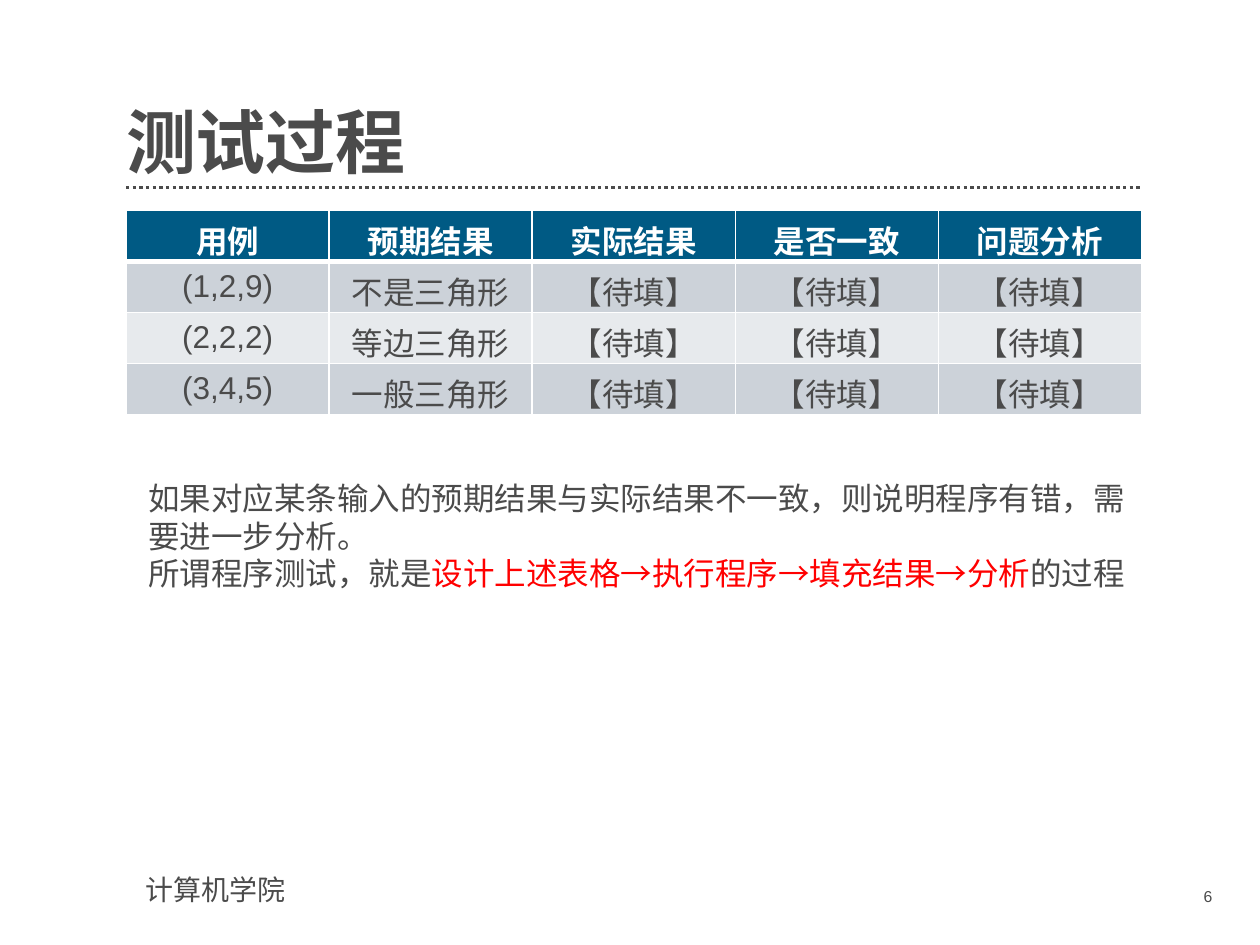
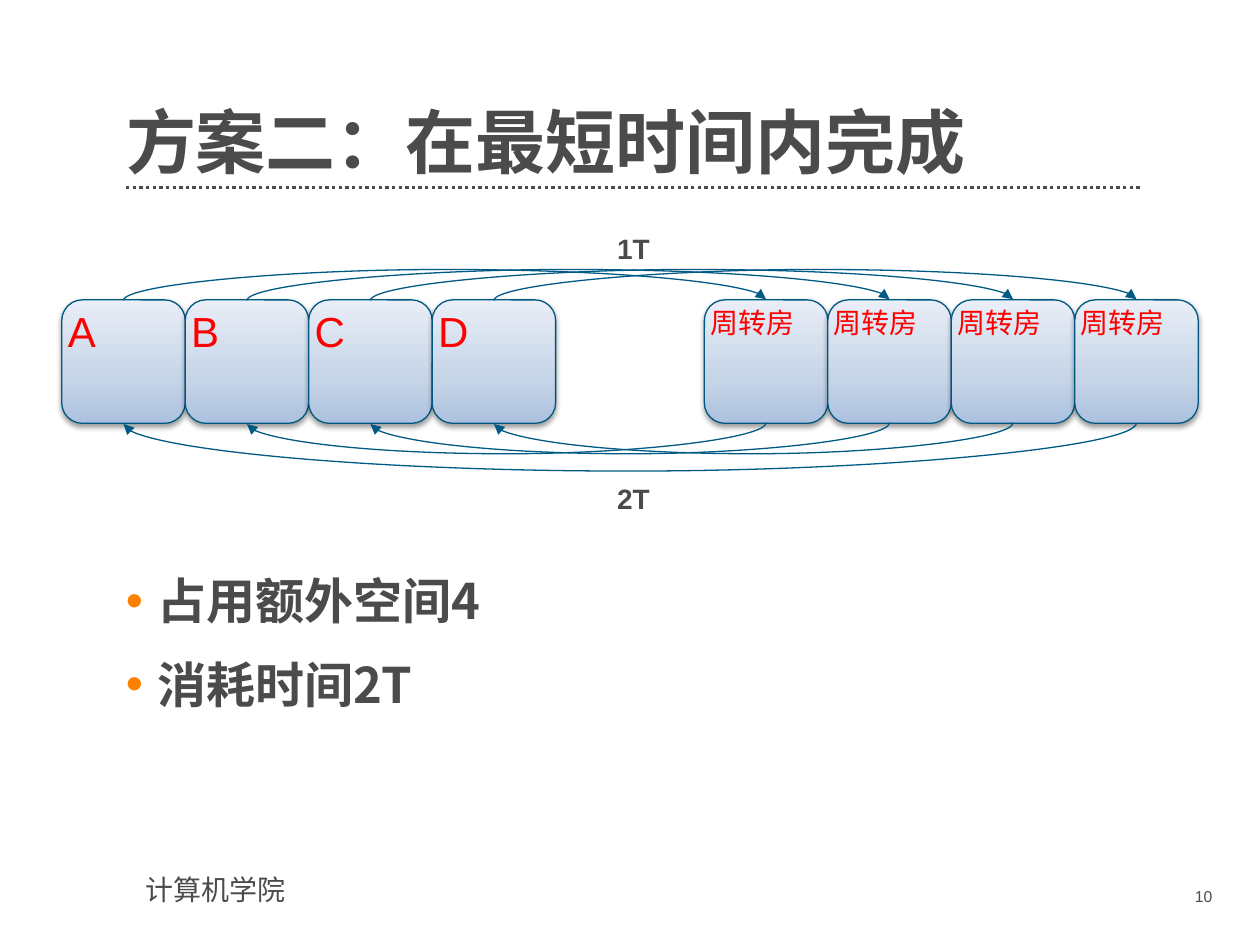
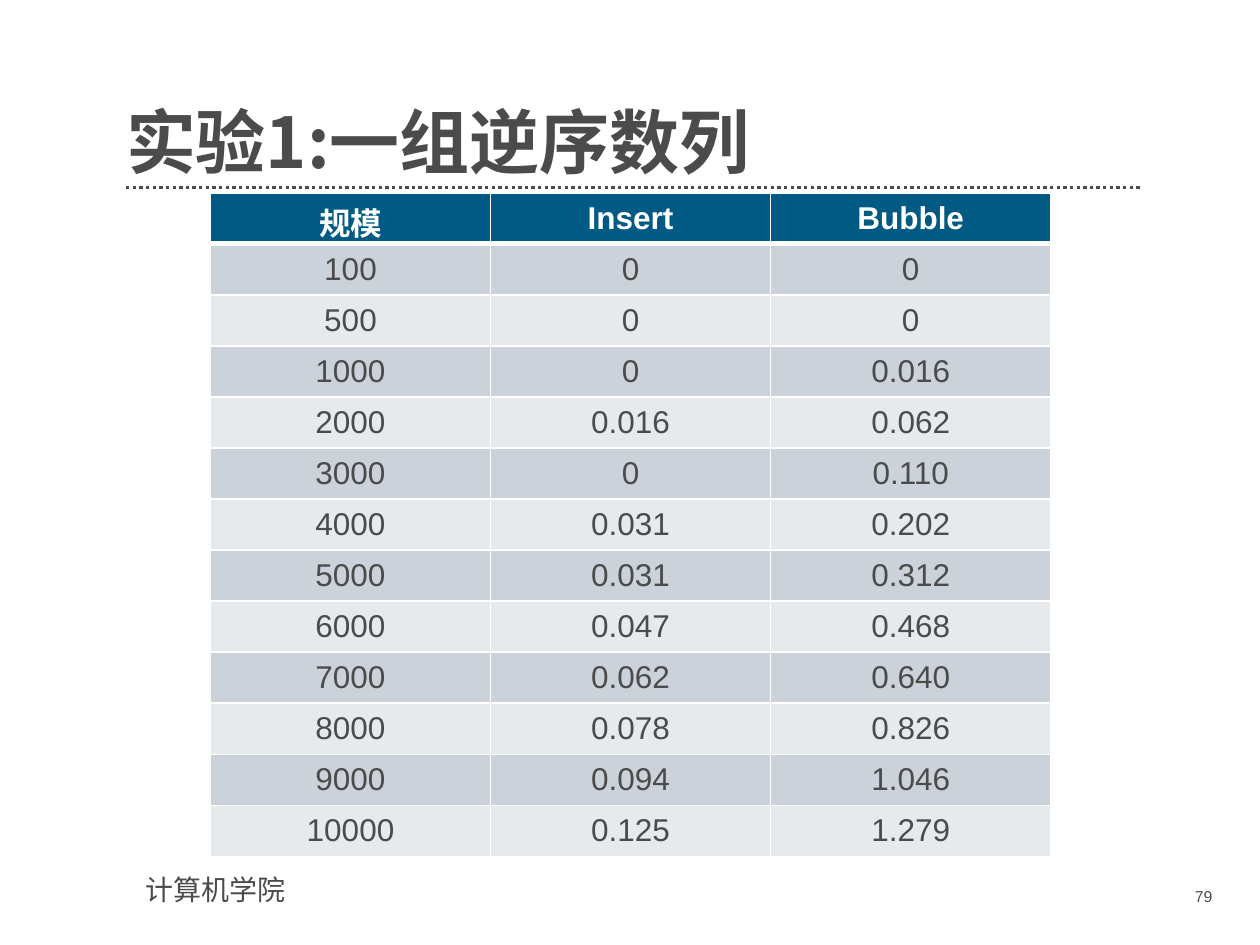
from dataclasses import dataclass
from typing import Any, NamedTuple

from lxml.etree import SubElement
from pptx import Presentation
from pptx.dml.color import RGBColor
from pptx.enum.dml import MSO_LINE
from pptx.enum.shapes import MSO_CONNECTOR as Link, MSO_SHAPE as Preset
from pptx.enum.text import MSO_ANCHOR as Anchor, MSO_AUTO_SIZE as AutoSize, PP_ALIGN as Align
from pptx.oxml.ns import qn
from pptx.util import Inches, Pt

INK, WHITE, RED, ORANGE = "4B4B4B", "FFFFFF", "FF0000", "FF8000"
BLUE, BOX_EDGE = "005A84", "005881"
BANDS = ("CCD2D9", "E7EAED")
BOX_GRADIENT = ((0, "ACC1DF"), (35, "C5D4E7"), (100, "E9EEF7"))
LATIN, HAN = "Arial", "Noto Sans CJK SC"
TODO = "【待填】"
HOUSE_SIZE, HOUSE_TOP = 0.98, 2.38
CURVE_DEPTH = 0.01


class Area(NamedTuple):
    left: float
    top: float
    width: float
    height: float

    def lengths(self) -> list:
        return [Inches(value) for value in self]


class Style(NamedTuple):
    size: float
    color: str = INK
    bold: bool = False
    font: str = LATIN


@dataclass
class Grid:
    area: Area
    rows: list


@dataclass
class Move:
    source: Any
    target: Any
    site: int
    bulge: float


TITLE_STYLE = Style(40, bold=True, font=HAN)
BULLET_STYLE = Style(28, bold=True, font=HAN)
BODY_STYLE = Style(18)
NO_MARGINS = dict(margin_left=0, margin_top=0, margin_right=0, margin_bottom=0)
RIGHT_GAP = {**NO_MARGINS, "margin_right": Inches(0.2)}

TEST_CASES = Grid(Area(1, 1.67, 8.06, 1.62), [
    ("用例", "预期结果", "实际结果", "是否一致", "问题分析"),
    ("(1,2,9)", "不是三角形", TODO, TODO, TODO),
    ("(2,2,2)", "等边三角形", TODO, TODO, TODO),
    ("(3,4,5)", "一般三角形", TODO, TODO, TODO),
])
TIMINGS = Grid(Area(1.67, 1.53, 6.67, 5.27), [
    ("规模", "Insert", "Bubble"),
    ("100", "0", "0"),
    ("500", "0", "0"),
    ("1000", "0", "0.016"),
    ("2000", "0.016", "0.062"),
    ("3000", "0", "0.110"),
    ("4000", "0.031", "0.202"),
    ("5000", "0.031", "0.312"),
    ("6000", "0.047", "0.468"),
    ("7000", "0.062", "0.640"),
    ("8000", "0.078", "0.826"),
    ("9000", "0.094", "1.046"),
    ("10000", "0.125", "1.279"),
])


def rgb(color: str) -> RGBColor:
    """Turn a hex string into a colour."""
    return RGBColor.from_string(color)


def apply(target: Any, values: dict) -> None:
    """Set each named attribute on the target."""
    for name, value in values.items():
        setattr(target, name, value)


def add_xml(parent: Any, tag: str, **attributes: Any) -> Any:
    """Append a drawing element and return it."""
    return SubElement(parent, qn(f"a:{tag}"), {key: str(value) for key, value in attributes.items()})


def write(paragraph: Any, text: str, style: Style, **layout: Any) -> None:
    """Add one styled run to a paragraph."""
    run = paragraph.add_run()
    run.text = text
    apply(run.font, dict(size=Pt(style.size), bold=style.bold, name=style.font))
    run.font.color.rgb = rgb(style.color)
    add_xml(run.font._element, "ea", typeface=HAN)
    apply(paragraph, layout)


def add_text(slide: Any, area: Area, text: str, style: Style, **layout: Any) -> Any:
    """Draw a wrapping text box and return its frame."""
    frame = slide.shapes.add_textbox(*area.lengths()).text_frame
    frame.word_wrap = True
    write(frame.paragraphs[0], text, style, **layout)
    return frame


def space_before(paragraph: Any) -> Any:
    """Put half a line before a paragraph and return its properties."""
    properties = paragraph._p.get_or_add_pPr()
    add_xml(add_xml(properties, "spcBef"), "spcPct", val=50000)
    return properties


def plain_line(connector: Any, color: str, width: float) -> None:
    """Colour a connector and take its shadow away."""
    connector.line.color.rgb = rgb(color)
    connector.line.width = Pt(width)


def start_slide(deck: Any, title: str, number: int) -> Any:
    """Add a slide with its title, rule, footer and number."""
    slide = deck.slides.add_slide(deck.slide_layouts[5])
    rule = slide.shapes.add_connector(Link.STRAIGHT, Inches(1), Inches(1.49), Inches(9.06), Inches(1.49))
    plain_line(rule, INK, 1.9)
    rule.line.dash_style = MSO_LINE.ROUND_DOT
    add_xml(rule._element.spPr, "effectLst")
    add_text(slide, Area(1.06, 6.88, 2.56, 0.37), "计算机学院", Style(16))
    add_text(slide, Area(8.73, 6.99, 0.99, 0.29), str(number), Style(9), alignment=Align.RIGHT)

    heading = slide.shapes.title
    apply(heading, dict(zip(Area._fields, Area(1, 0.55, 8.06, 0.91).lengths())))
    apply(heading.text_frame, dict(
        NO_MARGINS, vertical_anchor=Anchor.BOTTOM, auto_size=AutoSize.NONE, word_wrap=True))
    write(heading.text_frame.paragraphs[0], title, TITLE_STYLE, alignment=Align.LEFT, line_spacing=0.9)
    return slide


def add_borders(cell: Any, widths: dict) -> None:
    """Give a cell white borders of the stated widths."""
    properties = cell._tc.get_or_add_tcPr()
    for position, (side, width) in enumerate(widths.items()):
        border = add_xml(properties, f"ln{side}", w=Pt(width))
        add_xml(add_xml(border, "solidFill"), "srgbClr", val=WHITE)
        properties.insert(position, border)


def add_grid(slide: Any, grid: Grid) -> None:
    """Draw a table with a dark header and two alternating bands."""
    size = len(grid.rows), len(grid.rows[0])
    table = slide.shapes.add_table(*size, *grid.area.lengths()).table
    for row, values in enumerate(grid.rows):
        header = row == 0
        style = Style(18, WHITE, True) if header else BODY_STYLE
        for column, text in enumerate(values):
            cell = table.cell(row, column)
            cell.vertical_anchor = Anchor.MIDDLE
            cell.fill.solid()
            cell.fill.fore_color.rgb = rgb(BLUE if header else BANDS[(row - 1) % 2])
            add_borders(cell, dict(L=1, R=1, T=3 if row == 1 else 1, B=3 if header else 1))
            write(cell.text_frame.paragraphs[0], text, style, alignment=Align.CENTER)


def add_house(slide: Any, left: float, label: str, size: float) -> Any:
    """Draw one shaded house with its label."""
    area = Area(left, HOUSE_TOP, HOUSE_SIZE, HOUSE_SIZE)
    house = slide.shapes.add_shape(Preset.ROUNDED_RECTANGLE, *area.lengths())
    house.fill.gradient()
    house.fill.gradient_angle = 90
    properties = house._element.spPr
    stops = properties.find(f".//{qn('a:gsLst')}")
    stops.clear()
    for percent, color in BOX_GRADIENT:
        add_xml(add_xml(stops, "gs", pos=percent * 1000), "srgbClr", val=color)
    house.line.color.rgb = rgb(BOX_EDGE)
    house.line.width = Pt(0.75)
    house.shadow.inherit = False
    shadow = add_xml(properties.find(qn("a:effectLst")), "outerShdw", blurRad=Pt(3.1),
                     dist=Pt(1.6), dir=5400000, rotWithShape=0)
    add_xml(add_xml(shadow, "srgbClr", val="000000"), "alpha", val=38000)
    apply(house.text_frame, dict(RIGHT_GAP, vertical_anchor=Anchor.TOP, word_wrap=True))
    paragraph = house.text_frame.paragraphs[0]
    write(paragraph, label, Style(size, RED), alignment=Align.LEFT)
    space_before(paragraph)
    return house


def add_move(slide: Any, move: Move) -> None:
    """Draw a curved arrow between the same side of two houses."""
    arrow = slide.shapes.add_connector(Link.CURVE, 0, 0, 0, 0)
    arrow.begin_connect(move.source, move.site)
    arrow.end_connect(move.target, move.site)
    upward = move.site == 0
    span = abs(move.target.left - move.source.left)
    middle = (move.source.left + move.target.left + move.source.width) // 2
    edge = move.source.top + (0 if upward else move.source.height)
    depth = Inches(CURVE_DEPTH)
    apply(arrow, dict(left=middle - depth // 2, top=edge - span // 2, width=depth, height=span))
    properties = arrow._element.spPr
    flip = str(int(upward))
    for name, value in dict(rot="5400000", flipH=flip, flipV=flip).items():
        properties.find(qn("a:xfrm")).set(name, value)
    geometry = properties.find(qn("a:prstGeom"))
    guides = geometry.find(qn("a:avLst"))
    if guides is None:
        guides = add_xml(geometry, "avLst")
    add_xml(guides, "gd", name="adj1", fmla=f"val {round(move.bulge / CURVE_DEPTH * 100000)}")
    plain_line(arrow, BLUE, 0.75)
    add_xml(arrow.line._get_or_add_ln(), "tailEnd", type="triangle")
    add_xml(properties, "effectLst")


def add_bullets(slide: Any, area: Area, items: list) -> None:
    """Draw a bulleted list with orange marks."""
    frame = slide.shapes.add_textbox(*area.lengths()).text_frame
    apply(frame, dict(RIGHT_GAP, word_wrap=True))
    for index, item in enumerate(items):
        paragraph = frame.add_paragraph() if index else frame.paragraphs[0]
        write(paragraph, item, BULLET_STYLE)
        properties = space_before(paragraph)
        for name, indent in dict(marL=0.25, indent=-0.25).items():
            properties.set(name, str(Inches(indent)))
        add_xml(add_xml(properties, "buClr"), "srgbClr", val=ORANGE)
        add_xml(properties, "buFont", typeface=LATIN)
        add_xml(properties, "buChar", char="•")


def build_test_process(deck: Any) -> None:
    """Build the slide on the test process."""
    slide = start_slide(deck, "测试过程", 6)
    add_grid(slide, TEST_CASES)
    frame = add_text(slide, Area(1.08, 3.75, 8.04, 1.01),
                     "如果对应某条输入的预期结果与实际结果不一致，则说明程序有错，需要进一步分析。", BODY_STYLE)
    summary = frame.add_paragraph()
    write(summary, "所谓程序测试，就是", BODY_STYLE)
    write(summary, "设计上述表格→执行程序→填充结果→分析", Style(18, RED))
    write(summary, "的过程", BODY_STYLE)


def build_fastest_plan(deck: Any) -> None:
    """Build the slide on the plan that takes the least time."""
    slide = start_slide(deck, "方案二：在最短时间内完成", 10)
    add_bullets(slide, Area(1, 4.53, 8.06, 2.13), ["占用额外空间4", "消耗时间2T"])
    homes = [add_house(slide, 0.49 + HOUSE_SIZE * i, name, 24) for i, name in enumerate("ABCD")]
    spares = [add_house(slide, 5.59 + HOUSE_SIZE * i, "周转房", 16) for i in range(len(homes))]
    returns = homes[1:] + homes[:1]
    for home, spare, new_home in zip(homes, spares, returns):
        add_move(slide, Move(home, spare, 0, 0.25))
        add_move(slide, Move(spare, new_home, 2, 0.39 if new_home is homes[0] else 0.25))
    for top, duration in ((1.79, "1T"), (3.77, "2T")):
        add_text(slide, Area(4.8, top, 0.59, 0.37), duration, Style(16, bold=True))


def build_experiment(deck: Any) -> None:
    """Build the slide on the sorting experiment."""
    slide = start_slide(deck, "实验1:一组逆序数列", 79)
    add_grid(slide, TIMINGS)


def main() -> None:
    """Build and save the deck."""
    deck = Presentation()
    apply(deck, dict(slide_width=Inches(10), slide_height=Inches(7.5)))
    for build in (build_test_process, build_fastest_plan, build_experiment):
        build(deck)
    deck.save("out.pptx")


if __name__ == "__main__":
    main()
